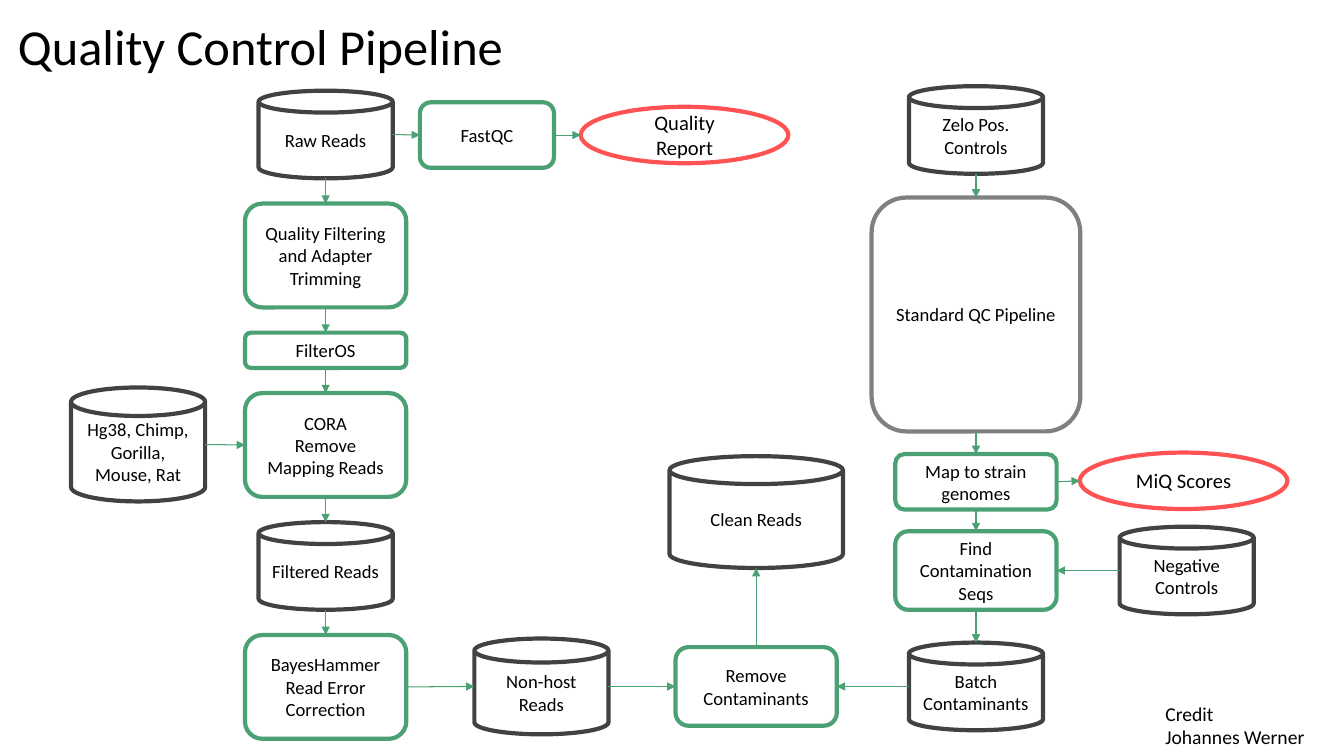
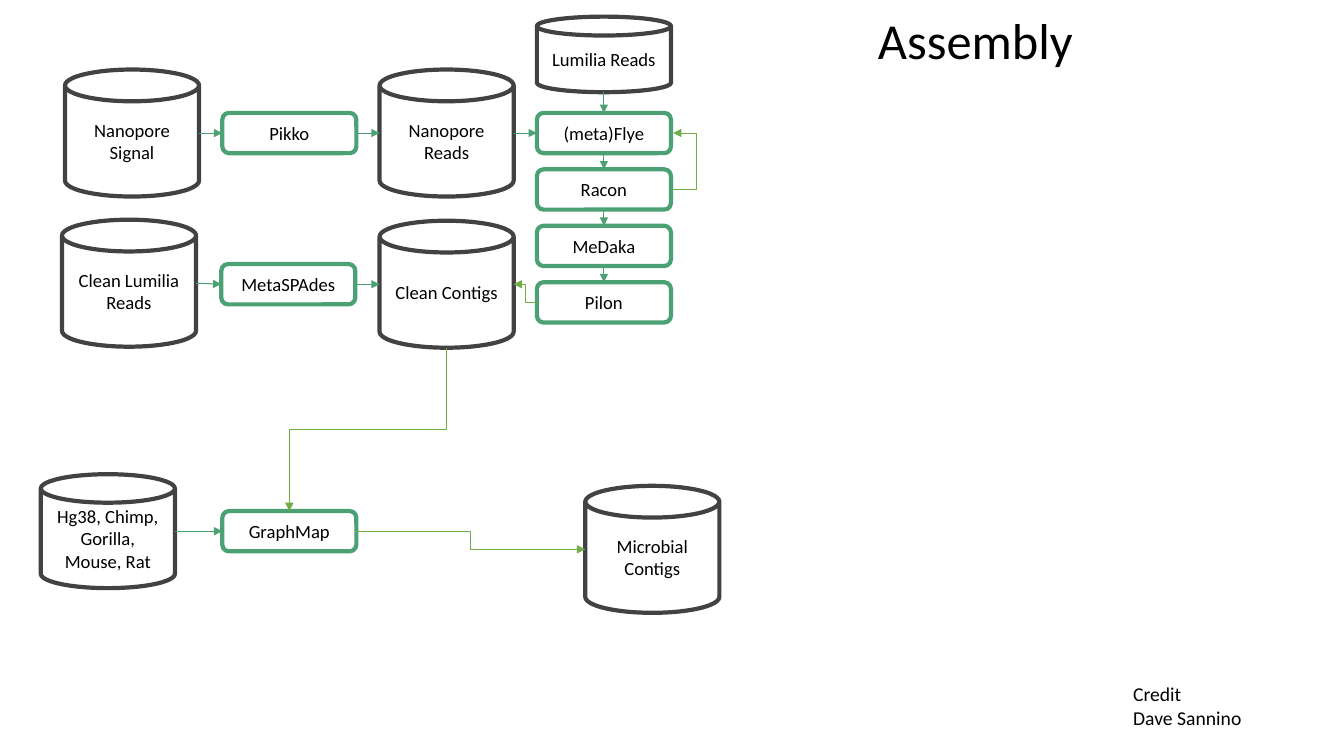
from lxml.etree import SubElement
from pptx import Presentation
from pptx.dml.color import RGBColor
from pptx.enum.shapes import MSO_CONNECTOR as Link, MSO_SHAPE as Preset
from pptx.enum.text import MSO_ANCHOR, PP_ALIGN
from pptx.oxml.ns import qn
from pptx.util import Pt

PX = 9144  # EMU per px, 100 px to the inch
FONT, INK = "Calibri", "000000"
TITLE_SIZE, CREDIT_SIZE, INSET = 36, 14, 13
ARROW = {"color": "4BA173", "width": 0.75}
ELBOW = {"color": "70AD47", "width": 0.5}
LOOP_REACH, LOOP_WIDTH = 25, 2

# kind: preset, outline, text size
KINDS = {
    "data": (Preset.CAN, "424242", 13.3),
    "step": (Preset.ROUNDED_RECTANGLE, "4BA173", 13.3),
    "stage": (Preset.ROUNDED_RECTANGLE, "808080", 13.3),
    "report": (Preset.OVAL, "FF5252", 14.7),
}
# side: share of width, share of height, connection site of a rectangle
SIDES = {"top": (0.5, 0, 0), "left": (0, 0.5, 1), "bottom": (0.5, 1, 2), "right": (1, 0.5, 3)}
DOWN, UP = ("bottom", "top"), ("top", "bottom")
RIGHT, LEFT = ("right", "left"), ("left", "right")
AROUND = ("right", "right")


def column(cx, top, gap, items):
    """Stack (label, kind, width, height) items downwards at equal gaps."""
    nodes = []
    for label, kind, width, height in items:
        nodes.append((label, kind, cx, top + height / 2, width, height))
        top += height + gap
    return nodes


def chain(labels, direction):
    return [(start, end, direction) for start, end in zip(labels, labels[1:])]


# Content: nodes are label, kind, centre x, centre y, width, height
CORA = "CORA\nRemove Mapping Reads"
BAYES = "BayesHammer\nRead Error Correction"
HOSTS = "Hg38, Chimp, Gorilla, Mouse, Rat"
read_steps = [
    ("Raw Reads", "data", 133, 87),
    ("Quality Filtering and Adapter Trimming", "step", 160, 103),
    ("FilterOS", "step", 160, 35),
    (CORA, "step", 160, 103),
    ("Filtered Reads", "data", 133, 87),
    (BAYES, "step", 160, 103),
]
control_steps = [
    ("Zelo Pos. Controls", "data", 968, 129, 133, 87),
    ("Standard QC Pipeline", "stage", 968, 312, 207, 232),
    ("Map to strain genomes", "step", 968, 478, 160, 55),
    ("Find Contamination Seqs", "step", 968, 566, 160, 78),
    ("Batch Contaminants", "data", 968, 681, 133, 87),
]
polish_steps = ["(meta)Flye", "Racon", "MeDaka", "Pilon"]
nanopore_row = [("Nanopore Signal", "data", 126), ("Pikko", "step", 40),
                ("Nanopore Reads", "data", 126)]

SLIDES = [
    {
        "title": ("Quality Control Pipeline", 8, 10, 1058, 71),
        "credit": ("Credit\nJohannes Werner", 1146, 691, 180, 57),
        "nodes": column(323, 90, 25, read_steps) + control_steps + [
            ("FastQC", "step", 483, 134, 133, 65),
            ("Quality Report", "report", 679, 134, 206, 56),
            (HOSTS, "data", 137, 441, 133, 113),
            ("Non-host Reads", "data", 537, 681, 133, 95),
            ("Remove Contaminants", "step", 750, 681, 160, 78),
            ("Clean Reads", "data", 750, 508, 172, 111),
            ("MiQ Scores", "report", 1174, 477, 206, 56),
            ("Negative Controls", "data", 1177, 566, 133, 87),
        ],
        "arrows": chain([step[0] for step in read_steps], DOWN)
        + chain([step[0] for step in control_steps], DOWN)
        + chain(["Raw Reads", "FastQC", "Quality Report"], RIGHT)
        + chain([BAYES, "Non-host Reads", "Remove Contaminants"], RIGHT) + [
            (HOSTS, CORA, RIGHT),
            ("Map to strain genomes", "MiQ Scores", RIGHT),
            ("Negative Controls", "Find Contamination Seqs", LEFT),
            ("Batch Contaminants", "Remove Contaminants", LEFT),
            ("Remove Contaminants", "Clean Reads", UP),
        ],
        "elbows": [],
    },
    {
        "title": ("Assembly", 861, 4, 450, 71),
        "credit": ("Credit\nDave Sannino", 1114, 672, 180, 57),
        "nodes": [(label, kind, 131 + 156 * i, 132, 133, height)
                  for i, (label, kind, height) in enumerate(nanopore_row)]
        + column(599, 112, 16, [(label, "step", 133, 40) for label in polish_steps]) + [
            ("Lumilia Reads", "data", 599, 54, 133, 75),
            ("Clean Lumilia Reads", "data", 128, 281, 133, 126),
            ("MetaSPAdes", "step", 286, 282, 133, 40),
            ("Clean Contigs", "data", 443, 282, 133, 126),
            (HOSTS, "data", 107, 527, 133, 113),
            ("GraphMap", "step", 287, 527, 133, 40),
            ("Microbial Contigs", "data", 647, 545, 133, 126),
        ],
        "arrows": chain([node[0] for node in nanopore_row] + polish_steps[:1], RIGHT)
        + chain(["Lumilia Reads"] + polish_steps, DOWN)
        + chain(["Clean Lumilia Reads", "MetaSPAdes", "Clean Contigs"], RIGHT)
        + [(HOSTS, "GraphMap", RIGHT)],
        "elbows": [
            ("Racon", "(meta)Flye", AROUND),
            ("Pilon", "Clean Contigs", LEFT),
            ("Clean Contigs", "GraphMap", DOWN),
            ("GraphMap", "Microbial Contigs", RIGHT),
        ],
    },
]


def emu(*lengths):
    return [round(length * PX) for length in lengths]


def rgb(color):
    return RGBColor.from_string(color)


def write(frame, text, size, align, **settings):
    frame.text = text
    for name, value in {"word_wrap": True, **settings}.items():
        setattr(frame, name, value)
    for paragraph in frame.paragraphs:
        paragraph.alignment = align
        for name, value in {"name": FONT, "size": Pt(size)}.items():
            setattr(paragraph.font, name, value)
        paragraph.font.color.rgb = rgb(INK)


def add_text(slide, text, x, y, width, height, size):
    box = slide.shapes.add_textbox(*emu(x, y, width, height))
    write(box.text_frame, text, size, PP_ALIGN.LEFT)


def add_node(slide, label, kind, cx, cy, width, height):
    preset, outline, size = KINDS[kind]
    node = slide.shapes.add_shape(
        preset, *emu(cx - width / 2, cy - height / 2, width, height))
    node.shadow.inherit = False
    node.fill.background()
    node.line.color.rgb = rgb(outline)
    node.line.width = Pt(3)
    margins = {f"margin_{side}": INSET * PX for side in SIDES}
    write(node.text_frame, label, size, PP_ALIGN.CENTER,
          vertical_anchor=MSO_ANCHOR.MIDDLE, **margins)
    return node


def side_point(node, side):
    across, down, _ = SIDES[side]
    return round(node.left + across * node.width), round(node.top + down * node.height)


def style_link(link, color, width):
    link.line.color.rgb = rgb(color)
    link.line.width = Pt(width)
    SubElement(link.line._get_or_add_ln(), qn("a:tailEnd"), type="triangle")
    SubElement(link._element.spPr, qn("a:effectLst"))


def add_arrow(slide, start, end, sides):
    arrow = slide.shapes.add_connector(
        Link.STRAIGHT, *side_point(start, sides[0]), *side_point(end, sides[1]))
    for node, side, join in zip((start, end), sides, (arrow.begin_connect, arrow.end_connect)):
        if node.auto_shape_type == Preset.ROUNDED_RECTANGLE:
            join(node, SIDES[side][2])
    style_link(arrow, **ARROW)


def add_elbow(slide, start, end, sides):
    (x1, y1), (x2, y2) = side_point(start, sides[0]), side_point(end, sides[1])
    bend = 0.5
    if sides == AROUND:
        x2 += LOOP_WIDTH * PX
        bend = LOOP_REACH / LOOP_WIDTH
    if sides == DOWN:
        # A downward elbow is a sideways one turned by 90 degrees
        cx, cy, half_w, half_h = (x1 + x2) // 2, (y1 + y2) // 2, (y2 - y1) // 2, (x1 - x2) // 2
        x1, y1, x2, y2 = cx - half_w, cy - half_h, cx + half_w, cy + half_h
    elbow = slide.shapes.add_connector(Link.ELBOW, x1, y1, x2, y2)
    properties = elbow._element.spPr
    if sides == DOWN:
        properties.find(qn("a:xfrm")).set("rot", str(90 * 60000))
    guides = properties.find(qn("a:prstGeom")).get_or_add_avLst()
    SubElement(guides, qn("a:gd"), name="adj1", fmla=f"val {round(bend * 100000)}")
    style_link(elbow, **ELBOW)


def build_slide(deck, content):
    slide = deck.slides.add_slide(deck.slide_layouts[6])
    nodes = {node[0]: add_node(slide, *node) for node in content["nodes"]}
    for links, add_link in (("arrows", add_arrow), ("elbows", add_elbow)):
        for start, end, sides in content[links]:
            add_link(slide, nodes[start], nodes[end], sides)
    add_text(slide, *content["title"], TITLE_SIZE)
    add_text(slide, *content["credit"], CREDIT_SIZE)


def main():
    deck = Presentation()
    deck.slide_width, deck.slide_height = emu(1333, 750)
    for content in SLIDES:
        build_slide(deck, content)
    deck.save("out.pptx")


if __name__ == "__main__":
    main()
